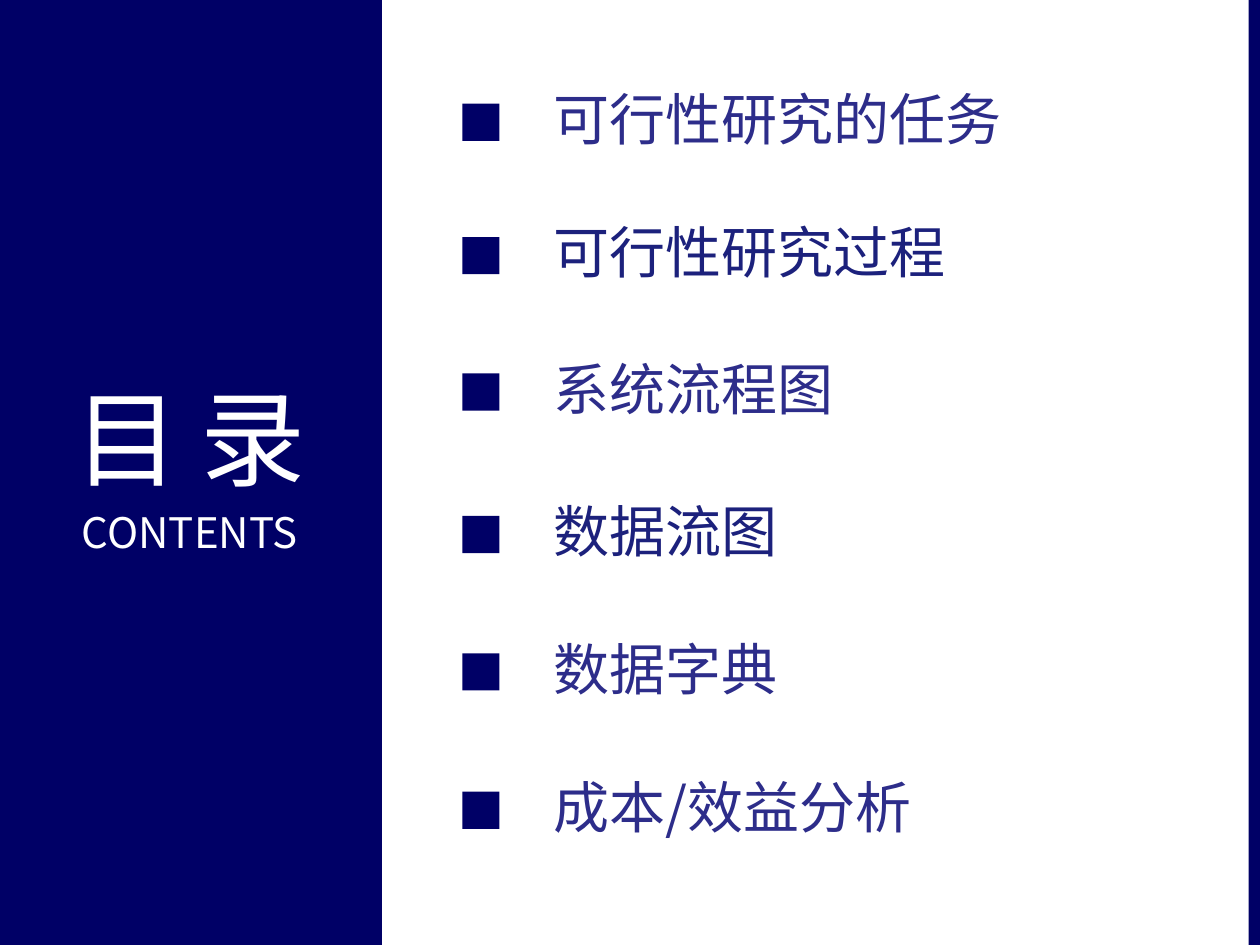
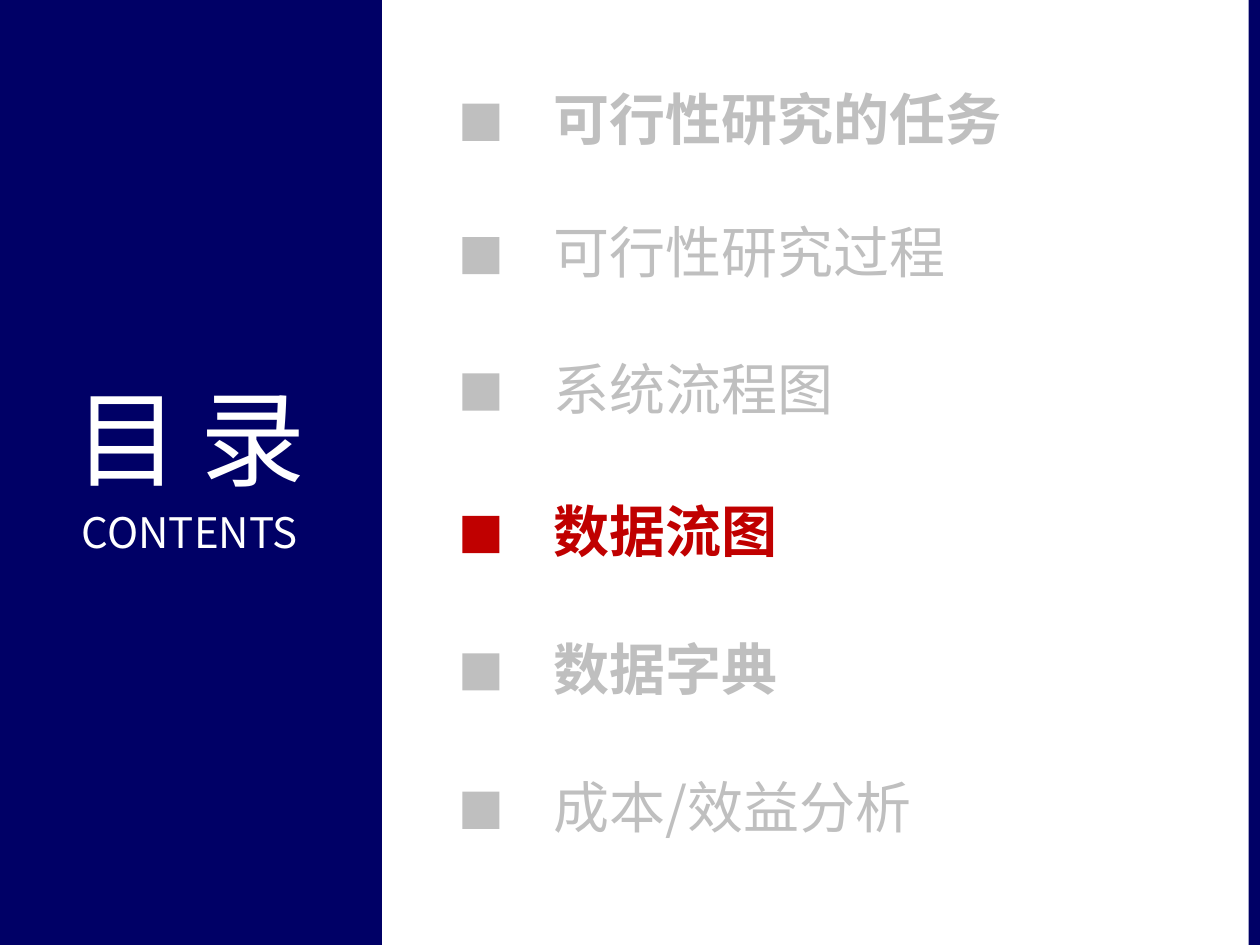
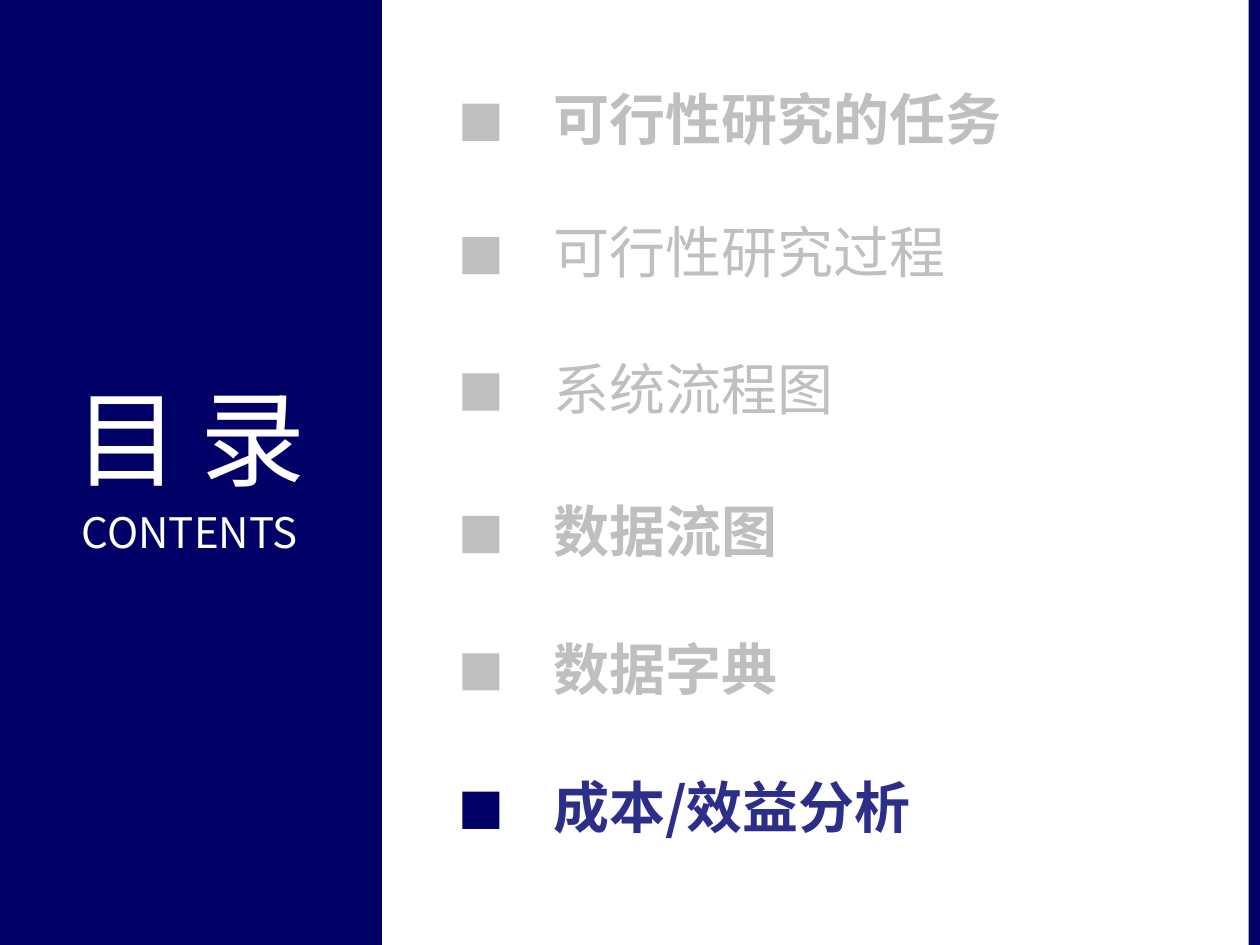
from lxml.etree import SubElement
from pptx import Presentation
from pptx.dml.color import RGBColor
from pptx.enum.shapes import MSO_SHAPE
from pptx.enum.text import MSO_ANCHOR, PP_ALIGN
from pptx.oxml.ns import qn
from pptx.util import Cm, Pt

NAVY = RGBColor(0x00, 0x00, 0x66)
INDIGO = RGBColor(0x2D, 0x2D, 0x8A)
DEEP_BLUE = RGBColor(0x1C, 0x21, 0x7C)
GREY = RGBColor(0xBF, 0xBF, 0xBF)
RED = RGBColor(0xC0, 0x00, 0x00)
WHITE = RGBColor(0xFF, 0xFF, 0xFF)

FONT = "Noto Sans CJK SC"
PAGE_WIDTH, PAGE_HEIGHT = 25.4, 19.05
SIDE_PANEL = (-0.05, 0, 7.75, PAGE_HEIGHT)
RIGHT_BAND = (25.17, 0, 0.23, PAGE_HEIGHT)
TITLE_TOP, TITLE_HEIGHT = 7.34, 4.37
ITEM_LEFT, ITEM_WIDTH, ITEM_HEIGHT = 9.32, 15.01, 1.63
MARKER_SIZE, TEXT_INDENT = 0.75, 1.58

CHAPTERS = [
    ("可行性研究的任务", 1.65),
    ("可行性研究过程", 4.34),
    ("系统流程图", 7.09),
    ("数据流图", 9.96),
    ("数据字典", 12.73),
    ("成本/效益分析", 15.52),
]


def add_block(page, bounds, color):
    """Draw a plain filled rectangle."""
    block = page.shapes.add_shape(MSO_SHAPE.RECTANGLE, *map(Cm, bounds))
    block.shadow.inherit = False
    block.fill.solid()
    block.fill.fore_color.rgb = color
    block.line.fill.background()


def add_text(page, bounds, lines, alignment=PP_ALIGN.LEFT):
    """Place a text box with one paragraph for each (text, color, format) line."""
    frame = page.shapes.add_textbox(*map(Cm, bounds)).text_frame
    frame.word_wrap = True
    frame.vertical_anchor = MSO_ANCHOR.MIDDLE
    for index, (text, color, font_format) in enumerate(lines):
        para = frame.add_paragraph() if index else frame.paragraphs[0]
        para.alignment = alignment
        para.line_spacing = 0.9
        para.space_before = Pt(6 if index else 0)
        span = para.add_run()
        span.text = text
        span.font.color.rgb = color
        for name, value in {"name": FONT, **font_format}.items():
            setattr(span.font, name, value)
        SubElement(span._r.get_or_add_rPr(), qn("a:ea"), typeface=FONT)
    return frame


def add_side_panel(page, bounds):
    """Draw the navy panel with the contents title."""
    left, top, width, height = bounds
    add_block(page, bounds, NAVY)
    lines = [
        ("目录", WHITE, {"size": Pt(60)}),
        ("CONTENTS", WHITE, {"size": Pt(24)}),
    ]
    title_bounds = (left, top + TITLE_TOP, width, TITLE_HEIGHT)
    frame = add_text(page, title_bounds, lines, PP_ALIGN.CENTER)
    frame.paragraphs[0].runs[0]._r.get_or_add_rPr().set("spc", "1200")


def add_chapter(page, bounds, text, marker_color, text_color, bold):
    """Draw one chapter line: a square marker and its name."""
    left, top, width, height = bounds
    marker_top = top + (height - MARKER_SIZE) / 2
    add_block(page, (left, marker_top, MARKER_SIZE, MARKER_SIZE), marker_color)
    text_bounds = (left + TEXT_INDENT, top, width - TEXT_INDENT, height)
    add_text(page, text_bounds, [(text, text_color, {"size": Pt(32), "bold": bold})])


def add_contents_page(deck, styles, bold_chapters=()):
    """Add a contents page with (marker, text) colors for each chapter."""
    page = deck.slides.add_slide(deck.slide_layouts[6])
    add_side_panel(page, SIDE_PANEL)
    add_block(page, RIGHT_BAND, NAVY)
    for index, ((text, top), colors) in enumerate(zip(CHAPTERS, styles)):
        bounds = (ITEM_LEFT, top, ITEM_WIDTH, ITEM_HEIGHT)
        add_chapter(page, bounds, text, *colors, index in bold_chapters)


def highlight(active, colors):
    """Return grey styles with one chapter in its own colors."""
    return [colors if index == active else (GREY, GREY) for index in range(len(CHAPTERS))]


def main():
    """Build and save the deck."""
    deck = Presentation()
    deck.slide_width, deck.slide_height = Cm(PAGE_WIDTH), Cm(PAGE_HEIGHT)
    overview = [(NAVY, DEEP_BLUE if index in (1, 3) else INDIGO) for index in range(len(CHAPTERS))]
    add_contents_page(deck, overview)
    add_contents_page(deck, highlight(3, (RED, RED)), (0, 3, 4))
    add_contents_page(deck, highlight(5, (NAVY, INDIGO)), (0, 3, 4, 5))
    deck.save("out.pptx")


if __name__ == "__main__":
    main()
